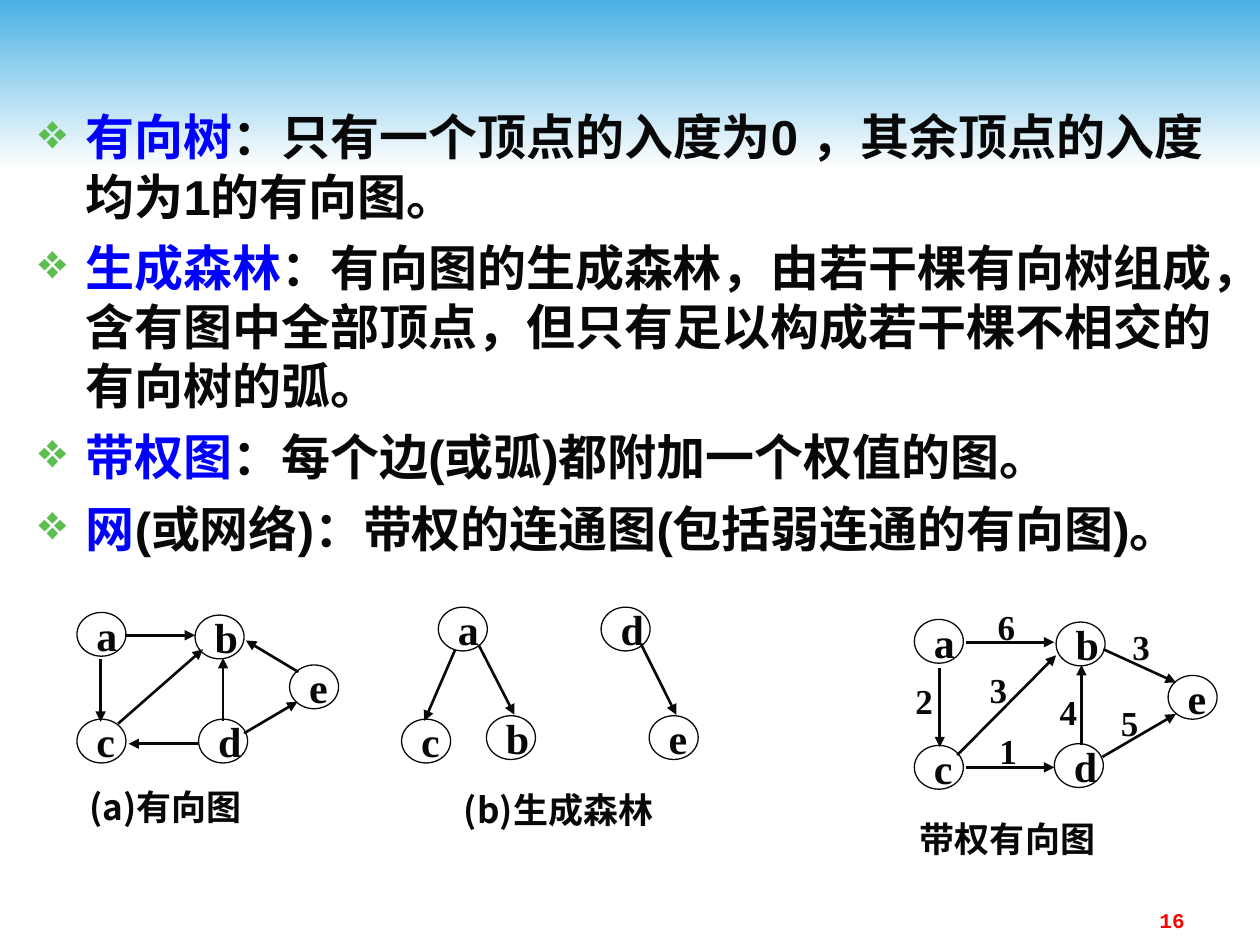
from lxml import etree
from pptx import Presentation
from pptx.dml.color import RGBColor
from pptx.enum import shapes, text
from pptx.oxml.ns import qn
from pptx.util import Pt

INK, BLUE, GREEN = "080808", "0000FF", "5BBE4E"
SERIF, CJK = "Times New Roman", "Noto Sans CJK SC"
NODE_W, NODE_H = 28, 25

TERMS = [
    ("有向树", "：只有一个顶点的入度为0 ，其余顶点的入度均为1的有向图。"),
    ("生成森林", "：有向图的生成森林，由若干棵有向树组成，含有图中全部顶点，"
     "但只有足以构成若干棵不相交的有向树的弧。"),
    ("带权图", "：每个边(或弧)都附加一个权值的图。"),
    ("网", "(或网络)：带权的连通图(包括弱连通的有向图)。"),
]
DIGRAPH = {
    "nodes": [("a", 44, 350), ("b", 111.5, 351.5), ("c", 44, 411),
              ("d", 113.5, 411), ("e", 165.5, 380)],
    "arcs": [(57.5, 376.5, 57.5, 412.5), (127.5, 412, 127.5, 376),
             (71.5, 363, 111.5, 363), (113, 425, 73.5, 425),
             (67.5, 413.5, 116, 371), (139.5, 419, 170, 401),
             (170.5, 384, 140.5, 366)],
    "weights": [],
    "caption": ("(a)有向图", 44, 448.5, 107.5),
}
FOREST = {
    "nodes": [("a", 250.5, 347), ("b", 278, 409), ("c", 229.5, 411),
              ("d", 343.5, 347), ("e", 371, 409)],
    "arcs": [(260, 371.5, 242.5, 412), (273.5, 368.5, 294, 408.5),
             (366.5, 368.5, 386.5, 408.5)],
    "weights": [],
    "caption": ("(b)生成森林", 258, 450, 132),
}
WEIGHTED = {
    "nodes": [("a", 522.5, 354), ("b", 603.5, 355.5), ("c", 522.5, 426),
              ("d", 602.5, 425), ("e", 667.5, 386)],
    "arcs": [(537, 381.5, 537, 427), (618, 425.5, 618, 380),
             (552, 367, 602.5, 367), (552, 438.5, 602.5, 438.5),
             (547, 431.5, 603.5, 374.5), (630, 432.5, 672, 408),
             (630.5, 371, 672, 390)],
    "weights": [("6", 563, 346.5), ("2", 516, 389), ("3", 558.5, 382.5),
                ("1", 564, 417.5), ("4", 598.5, 395.5),
                ("5", 633.5, 401.5), ("3", 640, 358)],
    "caption": (" 带权有向图", 514, 466.5, 170),
}


def paint(color, value):
    color.rgb = RGBColor.from_string(value)


def style(p, size, font, color=None):
    p.font.size, p.font.bold, p.font.name = Pt(size), True, font
    if color:
        paint(p.font.color, color)
    props = p._p.get_or_add_pPr().find(qn("a:defRPr"))
    etree.SubElement(props, qn("a:ea")).set("typeface", CJK)


def write(sp, content, size, font, color=INK, align=text.PP_ALIGN.LEFT):
    tf = sp.text_frame
    tf.word_wrap = False
    tf.vertical_anchor = text.MSO_ANCHOR.MIDDLE
    p = tf.paragraphs[0]
    p.text, p.alignment = content, align
    style(p, size, font, color)
    return tf


def add_box(s, x, y, w, h):
    return s.shapes.add_textbox(Pt(x), Pt(y), Pt(w), Pt(h))


def add_band(s):
    sp = s.shapes.add_shape(shapes.MSO_SHAPE.RECTANGLE, 0, 0, Pt(720), Pt(96))
    sp.shadow.inherit = False
    sp.line.fill.background()
    sp.fill.gradient()
    sp.fill.gradient_angle = 270
    for stop, value in zip(sp.fill.gradient_stops, ("4AB1E4", "FEFEFE")):
        paint(stop.color, value)


def add_node(s, name, x, y):
    sp = s.shapes.add_shape(shapes.MSO_SHAPE.OVAL, Pt(x), Pt(y), Pt(NODE_W), Pt(NODE_H))
    sp.shadow.inherit = False
    sp.fill.background()
    paint(sp.line.color, INK)
    sp.line.width = Pt(0.75)
    write(sp, name, 24, SERIF)


def add_arc(s, *ends):
    cx = s.shapes.add_connector(shapes.MSO_CONNECTOR.STRAIGHT, *map(Pt, ends))
    paint(cx.line.color, INK)
    cx.line.width = Pt(1.5)
    etree.SubElement(cx.line._get_or_add_ln(), qn("a:tailEnd")).set("type", "triangle")
    etree.SubElement(cx._element.spPr, qn("a:effectLst"))


def add_graph(s, graph):
    for node in graph["nodes"]:
        add_node(s, *node)
    for arc in graph["arcs"]:
        add_arc(s, *arc)
    for weight, x, y in graph["weights"]:
        write(add_box(s, x, y, 22.5, 22.5), weight, 20, SERIF)
    caption, x, y, w = graph["caption"]
    write(add_box(s, x, y, w, 25), caption, 20, CJK)


def add_bullet(p):
    props = p._p.get_or_add_pPr()
    props.set("marL", str(Pt(27)))
    props.set("indent", str(-Pt(27)))
    color = etree.SubElement(props, qn("a:buClr"))
    etree.SubElement(color, qn("a:srgbClr")).set("val", GREEN)
    etree.SubElement(props, qn("a:buChar")).set("char", "❖")


def add_terms(s):
    tf = add_box(s, 15, 54, 690, 288).text_frame
    tf.word_wrap = True
    tf.margin_top = Pt(7)
    for i, term in enumerate(TERMS):
        p = tf.add_paragraph() if i else tf.paragraphs[0]
        add_bullet(p)
        p.line_spacing = Pt(33.75)
        p.space_before = Pt(7 if i else 0)
        style(p, 28, "Arial")
        for part, value in zip(term, (BLUE, INK)):
            r = p.add_run()
            r.text = part
            paint(r.font.color, value)


def main():
    prs = Presentation()
    prs.slide_width, prs.slide_height = Pt(720), Pt(540)
    s = prs.slides.add_slide(prs.slide_layouts[6])
    add_band(s)
    for graph in (DIGRAPH, FOREST, WEIGHTED):
        add_graph(s, graph)
    add_terms(s)
    tf = write(add_box(s, 516, 515, 168, 19.5), "16", 12, "Courier New",
               "FF0000", text.PP_ALIGN.RIGHT)
    tf.word_wrap = True
    tf.vertical_anchor = text.MSO_ANCHOR.TOP
    prs.save("out.pptx")


if __name__ == "__main__":
    main()
